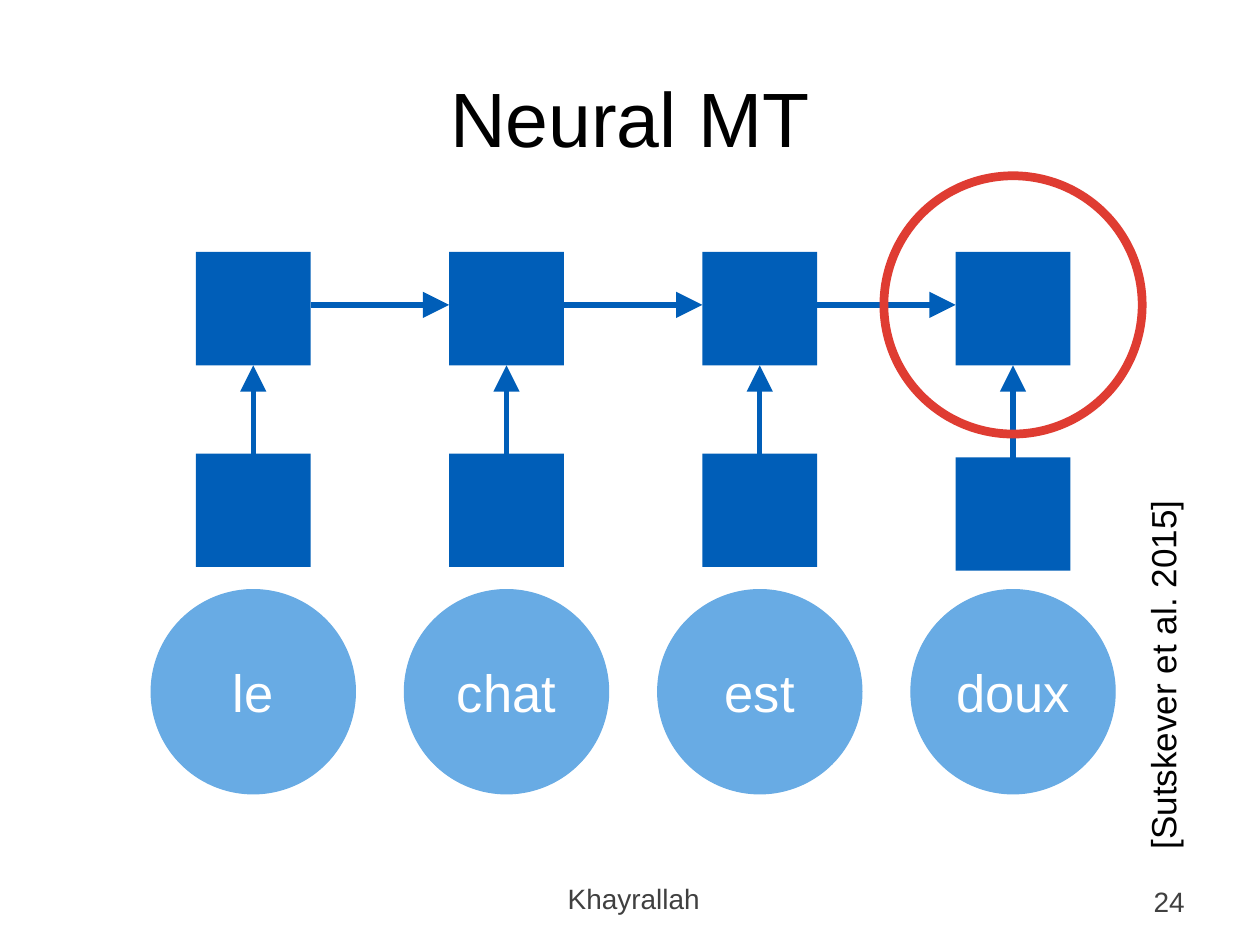
from pptx import Presentation
from pptx.util import Inches, Pt
from pptx.dml.color import RGBColor
from pptx.enum.shapes import MSO_SHAPE, MSO_CONNECTOR
from pptx.enum.text import PP_ALIGN, MSO_ANCHOR
from pptx.oxml.ns import qn
from lxml.etree import SubElement

HUE = {"navy": "005EB8", "sky": "68ABE4", "red": "DF3C32",
       "black": "000000", "gray": "404040", "white": "FFFFFF"}
WORDS = ["le", "chat", "est", "doux"]
LEFT, PITCH = 2.01, 2.01
BOX_W, BOX_H, DISC = 0.91, 0.9, 1.62
TOP, LOW, WORD = 2.45, 4.05, 5.49


def color(name):
    return RGBColor.from_string(HUE[name])


def col(i):
    return LEFT + i * PITCH


def write(shape, text, size, hue, align, anchor=MSO_ANCHOR.MIDDLE):
    frame = shape.text_frame
    frame.word_wrap = True
    frame.vertical_anchor = anchor
    para = frame.paragraphs[0]
    para.text = text
    para.alignment = align
    para.font.name = "Arial"
    para.font.size = Pt(size)
    para.font.color.rgb = color(hue)


def label(slide, place, text, size, hue, align, anchor=MSO_ANCHOR.MIDDLE):
    box = slide.shapes.add_textbox(*map(Inches, place))
    write(box, text, size, hue, align, anchor)
    return box


def block(slide, kind, x, y, w, h, fill=None, line=None, width=0.75):
    shape = slide.shapes.add_shape(
        kind, *map(Inches, (x - w / 2, y - h / 2, w, h)))
    shape.shadow.inherit = False
    if fill:
        shape.fill.solid()
        shape.fill.fore_color.rgb = color(fill)
    else:
        shape.fill.background()
    if line:
        shape.line.color.rgb = color(line)
        shape.line.width = Pt(width)
    else:
        shape.line.fill.background()
    return shape


def arrow(slide, *ends):
    link = slide.shapes.add_connector(
        MSO_CONNECTOR.STRAIGHT, *map(Inches, ends))
    link.line.color.rgb = color("navy")
    link.line.width = Pt(3)
    SubElement(link.line._get_or_add_ln(), qn("a:tailEnd"),
               type="triangle", w="lg", len="lg")
    SubElement(link._element.spPr, qn("a:effectLst"))


def title(slide, text):
    head = slide.shapes.title
    head.left, head.top, head.width, head.height = map(
        Inches, (0.5, 0.3, 9, 1.25))
    write(head, text, 44, "black", PP_ALIGN.CENTER)


def network(slide):
    last = len(WORDS) - 1
    for i, word in enumerate(WORDS):
        x = col(i)
        disc = block(slide, MSO_SHAPE.OVAL, x, WORD, DISC, DISC, "sky", "sky")
        write(disc, word, 30, "white", PP_ALIGN.CENTER)
        low = LOW + (0.03 if i == last else 0)
        for y in (low, TOP):
            block(slide, MSO_SHAPE.RECTANGLE, x, y, BOX_W, BOX_H, "navy")
        arrow(slide, x, 3.7, x, TOP + BOX_H / 2)
    for i in range(last):
        arrow(slide, col(i) + BOX_W / 2, 2.42, col(i + 1) - BOX_W / 2, 2.42)
    block(slide, MSO_SHAPE.OVAL, col(last), 2.42, 2.05, 2.05,
          line="red", width=5)


def main():
    deck = Presentation()
    deck.slide_width, deck.slide_height = Inches(10), Inches(7.5)
    slide = deck.slides.add_slide(deck.slide_layouts[5])
    title(slide, "Neural MT")
    label(slide, (7.17, 6.95, 2.33, 0.4), "24", 16, "gray", PP_ALIGN.RIGHT)
    label(slide, (2.81, 6.95, 4.44, 0.4), "Khayrallah", 16, "gray",
          PP_ALIGN.CENTER, MSO_ANCHOR.TOP)
    network(slide)
    cite = label(slide, (6.39, 3.38, 5.67, 1.25), "[Sutskever et al. 2015]",
                 20, "black", PP_ALIGN.LEFT)
    cite.rotation = 270
    deck.save("out.pptx")


if __name__ == "__main__":
    main()
